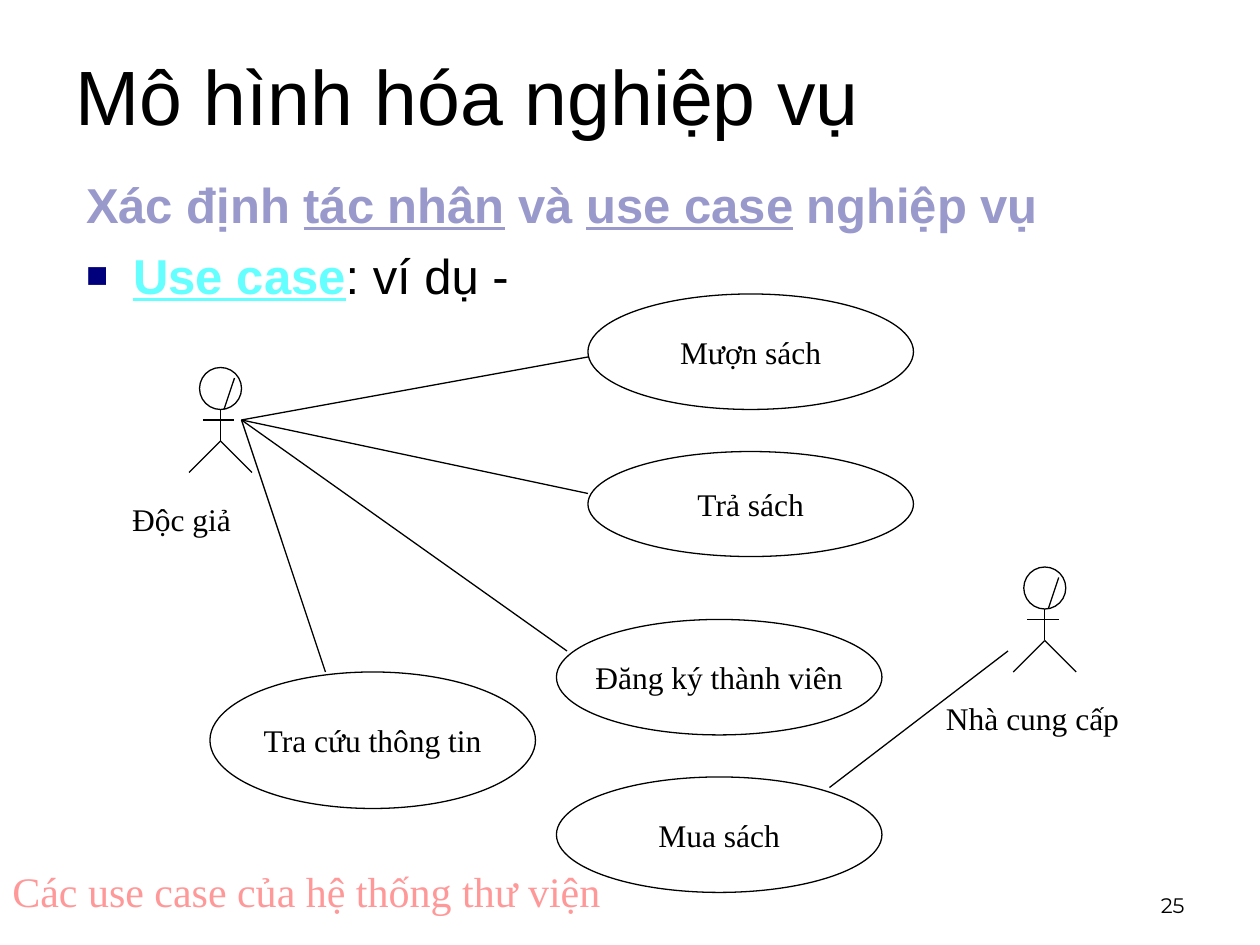
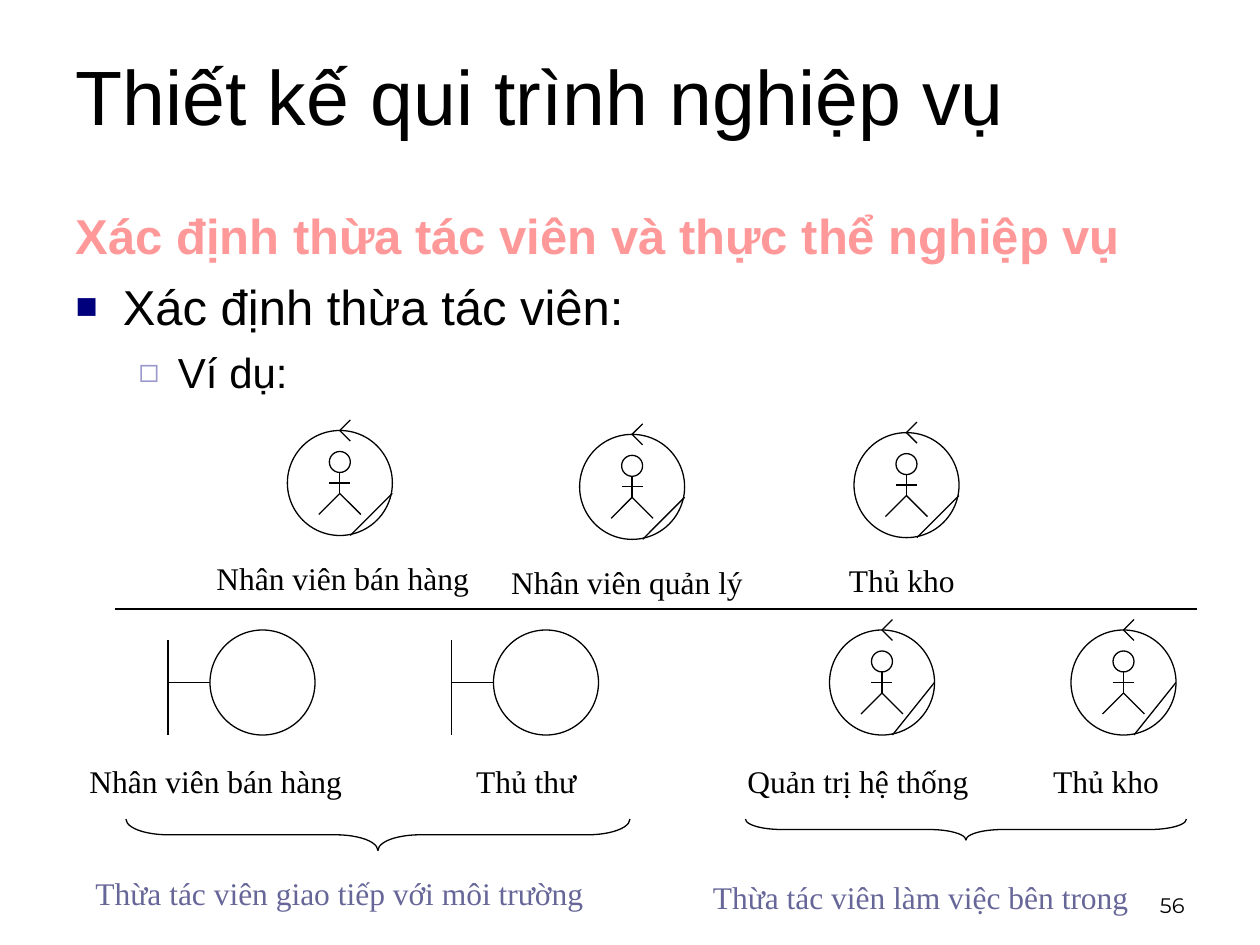
from lxml.etree import SubElement
from pptx import Presentation
from pptx.dml.color import RGBColor
from pptx.enum.shapes import MSO_CONNECTOR, MSO_SHAPE
from pptx.enum.text import MSO_ANCHOR, MSO_AUTO_SIZE, PP_ALIGN
from pptx.oxml.ns import qn
from pptx.util import Pt

COLORS = {
    "black": "000000",
    "lilac": "9999CC",
    "cyan": "66FFFF",
    "pink": "FF9999",
    "navy": "00007D",
    "violet": "666699",
}
SANS, SERIF, NUMBER = "Arial", "Times New Roman", "Montserrat"
SQUARE = ("■", "navy", 75)
HOLLOW = ("◻", "lilac", 80)


def rgb(name):
    return RGBColor.from_string(COLORS[name])


def style(font, name, size, color, bold=False, underline=False):
    font.name = name
    font.size = Pt(size)
    font.color.rgb = rgb(color)
    font.bold = bold
    font.underline = underline


def place(sp, left, top, width, height):
    sp.left, sp.top = Pt(left), Pt(top)
    sp.width, sp.height = Pt(width), Pt(height)


def add_bullet(p, margin, hanging, bullet):
    pPr = p._p.get_or_add_pPr()
    pPr.set("marL", str(Pt(margin)))
    pPr.set("indent", str(-Pt(hanging)))
    if bullet is None:
        SubElement(pPr, qn("a:buNone"))
        return
    char, color, percent = bullet
    clr = SubElement(pPr, qn("a:buClr"))
    SubElement(clr, qn("a:srgbClr")).set("val", COLORS[color])
    SubElement(pPr, qn("a:buSzPct")).set("val", str(percent * 1000))
    SubElement(pPr, qn("a:buFont")).set("typeface", SANS)
    SubElement(pPr, qn("a:buChar")).set("char", char)


def add_body(s, left, top, width, items):
    sp = s.placeholders[1]
    place(sp, left, top, width, 356.4)
    tf = sp.text_frame
    tf.auto_size = MSO_AUTO_SIZE.NONE
    for i, (level, bullet, size, runs) in enumerate(items):
        p = tf.add_paragraph() if i else tf.paragraphs[0]
        p.level = level
        add_bullet(p, *((58.5, 22.5) if level else (27, 27)), bullet)
        p.space_before = Pt(size / 4 if i else 0)
        for text, color, bold, underline in runs:
            r = p.add_run()
            r.text = text
            style(r.font, SANS, size, color, bold, underline)


def add_label(s, text, left, top, width, height=29, size=18, color="black", font=SERIF):
    sp = s.shapes.add_textbox(Pt(left), Pt(top), Pt(width), Pt(height))
    tf = sp.text_frame
    tf.word_wrap = False
    tf.auto_size = MSO_AUTO_SIZE.SHAPE_TO_FIT_TEXT
    tf.text = text
    style(tf.paragraphs[0].runs[0].font, font, size, color)
    return sp


def add_slide(prs, title, number):
    s = prs.slides.add_slide(prs.slide_layouts[1])
    sp = s.shapes.title
    place(sp, 36, 0, 648, 108)
    tf = sp.text_frame
    tf.auto_size = MSO_AUTO_SIZE.NONE
    tf.vertical_anchor = MSO_ANCHOR.MIDDLE
    tf.text = title
    p = tf.paragraphs[0]
    p.alignment = PP_ALIGN.LEFT
    style(p.runs[0].font, SANS, 44, "black")
    tf = add_label(s, number, 516, 492, 168, 36, 12, font=NUMBER).text_frame
    tf.word_wrap = True
    tf.auto_size = MSO_AUTO_SIZE.NONE
    tf.vertical_anchor = MSO_ANCHOR.BOTTOM
    tf.paragraphs[0].alignment = PP_ALIGN.RIGHT
    return s


def add_line(shapes, x1, y1, x2, y2):
    line = shapes.add_connector(MSO_CONNECTOR.STRAIGHT, Pt(x1), Pt(y1), Pt(x2), Pt(y2))
    line.line.color.rgb = rgb("black")
    line.line.width = Pt(0.75)
    SubElement(line._element.spPr, qn("a:effectLst"))


def add_outline(shapes, kind, left, top, width, height):
    sp = shapes.add_shape(kind, Pt(left), Pt(top), Pt(width), Pt(height))
    sp.shadow.inherit = False
    sp.fill.background()
    sp.line.color.rgb = rgb("black")
    sp.line.width = Pt(0.75)
    return sp


def add_use_case(s, text, left, top, height):
    tf = add_outline(s.shapes, MSO_SHAPE.OVAL, left, top, 186, height).text_frame
    tf.word_wrap = False
    tf.vertical_anchor = MSO_ANCHOR.MIDDLE
    tf.text = text
    p = tf.paragraphs[0]
    p.alignment = PP_ALIGN.CENTER
    style(p.runs[0].font, SERIF, 18, "black")


def add_stick_figure(shapes, cx, top, head, leg, arm_left, arm_right):
    neck, hip = top + head, top + head + leg
    add_outline(shapes, MSO_SHAPE.OVAL, cx - head / 2, top, head, head)
    add_line(shapes, cx, neck, cx, hip)
    add_line(shapes, cx, hip, cx - leg, hip + leg)
    add_line(shapes, cx, hip, cx + leg, hip + leg)
    add_line(shapes, cx - arm_left, neck + 6, cx + arm_right, neck + 6)


def add_actor(s, cx, top):
    shapes = s.shapes.add_group_shape().shapes
    add_stick_figure(shapes, cx, top, 24, 18, 10, 8)
    add_line(shapes, cx + 8, top + 6, cx + 2, top + 24)


def add_worker(s, left, top, slash_start):
    shapes = s.shapes.add_group_shape().shapes
    cx = left + 30
    add_outline(shapes, MSO_SHAPE.OVAL, left, top, 60, 60)
    for dy in (-6, 6):
        add_line(shapes, cx, top, cx + 6, top + dy)
    add_stick_figure(shapes, cx, top + 12, 12, 12, 6, 6)
    add_line(shapes, left + 60, top + slash_start, cx + 6, top + 60)


def add_boundary(s, left, top):
    shapes = s.shapes.add_group_shape().shapes
    add_outline(shapes, MSO_SHAPE.OVAL, left, top, 60, 60)
    add_line(shapes, left - 24, top + 30, left, top + 30)
    add_line(shapes, left - 24, top + 6, left - 24, top + 60)


def add_brace(s, left, top, span, depth, curve):
    x = left + (span - depth) / 2
    y = top - (span - depth) / 2
    sp = add_outline(s.shapes, MSO_SHAPE.LEFT_BRACE, x, y, depth, span)
    sp.rotation = 270
    sp.adjustments[0] = curve / depth


def build_use_cases(prs):
    s = add_slide(prs, "Mô hình hóa nghiệp vụ", "25")
    add_body(s, 42, 96, 606, [
        (0, None, 28, [
            ("Xác định ", "lilac", True, False),
            ("tác nhân", "lilac", True, True),
            (" và ", "lilac", True, False),
            ("use case", "lilac", True, True),
            (" nghiệp vụ", "lilac", True, False),
        ]),
        (0, SQUARE, 28, [
            ("Use case", "cyan", True, True),
            (": ví dụ -", "black", False, False),
        ]),
    ])
    for text, left, top, height in (
        ("Mượn sách", 336, 168, 66),
        ("Trả sách", 336, 258, 60),
        ("Đăng ký thành viên", 318, 354, 66),
        ("Tra cứu thông tin", 120, 384, 78),
        ("Mua sách", 318, 444, 66),
    ):
        add_use_case(s, text, left, top, height)
    add_actor(s, 126, 210)
    add_label(s, "Độc giả", 68.4, 282, 77)
    add_actor(s, 597, 324)
    add_label(s, "Nhà cung cấp", 533.5, 396, 130)
    for x, y in ((336, 204), (336, 282), (324, 372), (186, 384)):
        add_line(s.shapes, 138, 240, x, y)
    add_line(s.shapes, 474, 450, 576, 372)
    add_label(s, "Các use case của hệ thống thư viện", 0, 491, 350.6, 36, 24, "pink")


def build_workers(prs):
    s = add_slide(prs, "Thiết kế qui trình nghiệp vụ", "56")
    add_body(s, 36, 114, 630, [
        (0, None, 28, [("Xác định thừa tác viên và thực thể nghiệp vụ", "pink", True, False)]),
        (0, SQUARE, 28, [("Xác định thừa tác viên:", "black", False, False)]),
        (1, HOLLOW, 24, [("Ví dụ:", "black", False, False)]),
    ])
    for text, left, top, label_left, label_width in (
        ("Nhân viên bán hàng", 164.2, 246, 116.6, 188),
        ("Nhân viên quản lý", 331.2, 248.2, 285, 173),
        ("Thủ kho", 488, 247.2, 478, 85),
    ):
        add_worker(s, left, top, 36)
        add_label(s, text, label_left, top + 70, label_width)
    add_line(s.shapes, 66, 348, 684, 348)
    for left in (120, 282):
        add_boundary(s, left, 360)
    for left in (474, 612):
        add_worker(s, left, 360, 30)
    for text, left, width in (
        ("Nhân viên bán hàng", 44, 188),
        ("Thủ thư", 265, 83),
        ("Quản trị hệ thống", 420, 165.6),
        ("Thủ kho", 594.7, 85),
    ):
        add_label(s, text, left, 432, width)
    add_brace(s, 72, 468, 288, 18, 24)
    add_brace(s, 426, 468, 252, 12, 21)
    add_label(s, "Thừa tác viên giao tiếp với môi trường", 47.5, 496, 342.7, color="violet")
    add_label(s, "Thừa tác viên làm việc bên trong", 400.3, 498.2, 296, color="violet")


def main():
    prs = Presentation()
    prs.slide_width, prs.slide_height = Pt(720), Pt(540)
    build_use_cases(prs)
    build_workers(prs)
    prs.save("out.pptx")


if __name__ == "__main__":
    main()
